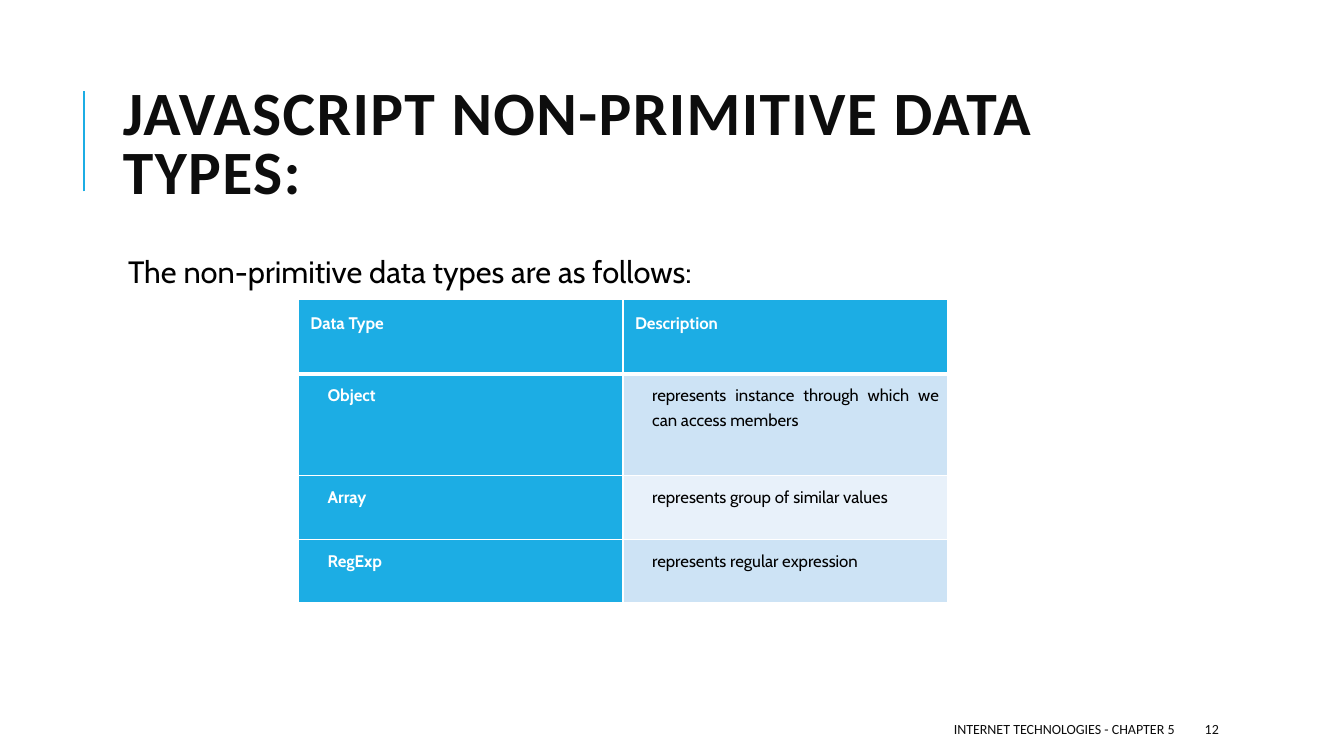
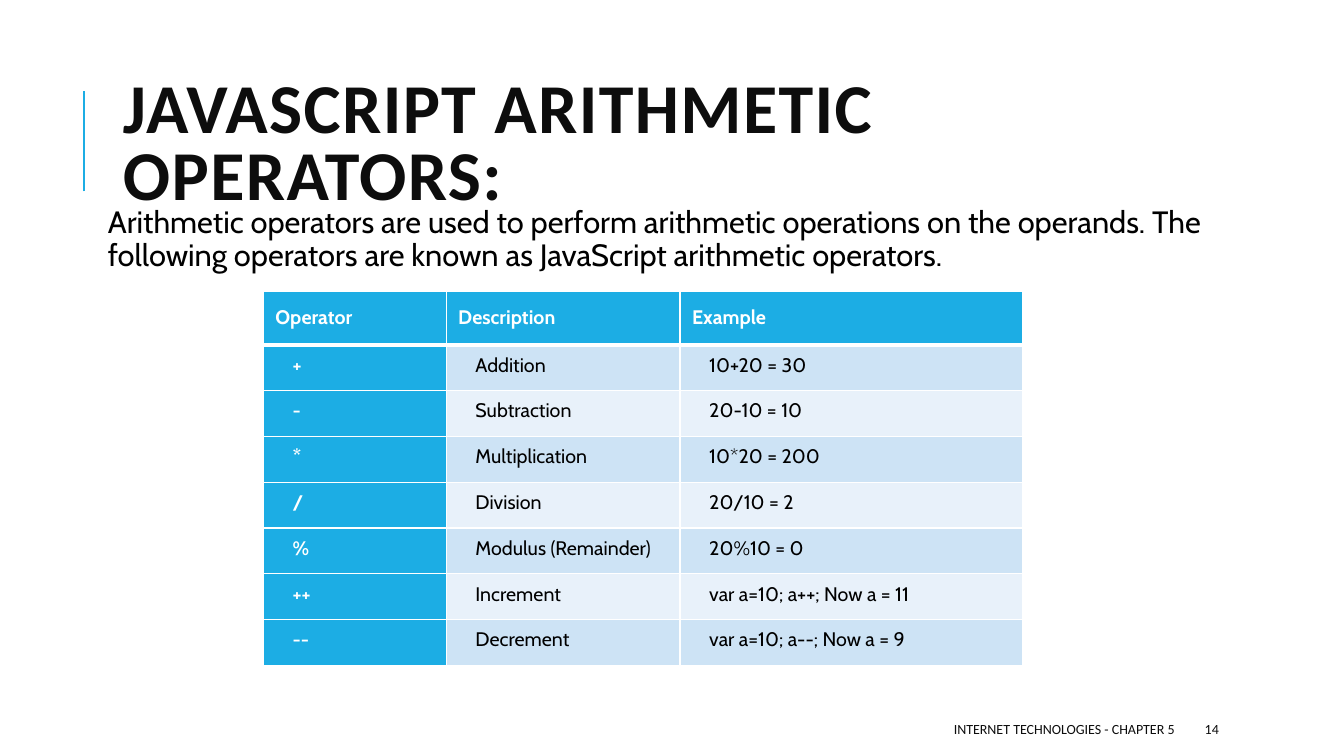
from lxml import etree
from pptx import Presentation
from pptx.dml.color import RGBColor
from pptx.enum.shapes import MSO_CONNECTOR
from pptx.enum.text import MSO_ANCHOR, MSO_AUTO_SIZE, PP_ALIGN
from pptx.oxml.ns import qn
from pptx.util import Inches, Pt

LEFT, RIGHT, JUSTIFY = PP_ALIGN.LEFT, PP_ALIGN.RIGHT, PP_ALIGN.JUSTIFY
MIDDLE, TOP = MSO_ANCHOR.MIDDLE, MSO_ANCHOR.TOP
FIXED = MSO_AUTO_SIZE.NONE
STRAIGHT = MSO_CONNECTOR.STRAIGHT

BLUE, INK, BLACK, WHITE = "1CADE4", "0D0D0D", "000000", "FFFFFF"
BANDS = ["CDE3F5", "E8F1FA"]
HEAD, BODY = "Calibri", "Cabin"
FOOTER = "INTERNET TECHNOLOGIES - CHAPTER 5"

deck = Presentation()
deck.slide_width, deck.slide_height = Inches(13.33), Inches(7.5)
COL, ROW = deck.slide_width / 100, deck.slide_height / 100


def grid(x, y, w, h):
    """Turn percentages of the slide's size into lengths."""
    return int(x * COL), int(y * ROW), int(w * COL), int(h * ROW)


def write(shape, text, size, color, font=HEAD, bold=False, align=LEFT,
          lines=1.0, indent=0, track=0, inset=None, anchor=TOP):
    """Fill a shape or a table cell with one formatted paragraph."""
    frame = shape.text_frame
    cell = not hasattr(shape, "shape_id")
    box = shape if cell else frame
    box.vertical_anchor = anchor
    if inset is not None:
        box.margin_left = box.margin_right = Inches(inset)
        box.margin_top = box.margin_bottom = Inches(inset)
    if not cell:
        frame.word_wrap, frame.auto_size = True, FIXED
    para = frame.paragraphs[0]
    props = para._p.get_or_add_pPr()
    props.set("marL", str(Inches(indent)))
    props.set("indent", "0")
    etree.SubElement(props, qn("a:buNone"))
    para.alignment, para.line_spacing = align, lines
    para.space_before = Pt(0)
    run = para.add_run()
    run.text = text
    run.font.name, run.font.size, run.font.bold = font, Pt(size), bold
    run.font.color.rgb = RGBColor.from_string(color)
    if track:
        run._r.get_or_add_rPr().set("spc", str(track * 100))


PAGES = [
    dict(
        number="12", title="JAVASCRIPT NON-PRIMITIVE DATA TYPES:", size=44,
        intro="The non-primitive data types are as follows:",
        area=(8.4, 33.33, 79.73, 58.67),
        corner=(22.2, 39.6), cols=[24.15] * 2,
        rows=[9.87, 13.47, 8.4, 8.4], type=12,
        cells=[
            ["Data Type", "Description"],
            ["Object", "represents instance through which we can access members"],
            ["Array", "represents group of similar values"],
            ["RegExp", "represents regular expression"],
        ]),
    dict(
        number="14", title="JAVASCRIPT ARITHMETIC OPERATORS:", size=50,
        intro="Arithmetic operators are used to perform arithmetic operations "
              "on the operands. The following operators are known as "
              "JavaScript arithmetic operators.",
        area=(6.9, 26.67, 86.25, 69.6),
        corner=(19.6, 38.55), cols=[13.6, 17.4, 25.5],
        rows=[7.07] + [6.06] * 7, type=14,
        cells=[
            ["Operator", "Description", "Example"],
            ["+", "Addition", "10+20 = 30"],
            ["-", "Subtraction", "20-10 = 10"],
            ["*", "Multiplication", "10*20 = 200"],
            ["/", "Division", "20/10 = 2"],
            ["%", "Modulus (Remainder)", "20%10 = 0"],
            ["++", "Increment", "var a=10; a++; Now a = 11"],
            ["--", "Decrement", "var a=10; a--; Now a = 9"],
        ]),
]

for page in PAGES:
    slide = deck.slides.add_slide(deck.slide_layouts[1])
    shapes = slide.shapes

    # Accent rule beside the title
    x, top, _, span = grid(6.25, 12, 0, 13.33)
    rule = shapes.add_connector(STRAIGHT, x, top + span, x, top)
    rule.line.color.rgb = RGBColor.from_string(BLUE)
    rule.line.width = Pt(1.5)
    etree.SubElement(rule._element.spPr, qn("a:effectLst"))

    # Title and introduction
    title, intro = slide.placeholders
    title.left, title.top, title.width, title.height = grid(8.4, 8.53, 79.73, 21.87)
    write(title, page["title"], page["size"], INK, bold=True, lines=0.8,
          track=1, anchor=MIDDLE)
    intro.left, intro.top, intro.width, intro.height = grid(*page["area"])
    write(intro, page["intro"], 22, BLACK, font=BODY, lines=0.9,
          indent=0.1, inset=0.05)

    # Footer and page number
    for text, x, wide, align in [(FOOTER, 39.75, 48.38, RIGHT),
                                 (page["number"], 88.9, 7.95, LEFT)]:
        note = shapes.add_textbox(*grid(x, 94.4, wide, 4))
        write(note, text, 10, INK, align=align, anchor=MIDDLE)

    # Table with a header row and a header column
    cols, rows = page["cols"], page["rows"]
    place = grid(*page["corner"], sum(cols), sum(rows))
    table = shapes.add_table(len(rows), len(cols), *place).table
    table.horz_banding = False
    for c, wide in enumerate(cols):
        table.columns[c].width = int(wide * COL)
    for r, tall in enumerate(rows):
        table.rows[r].height = int(tall * ROW)
        for c, text in enumerate(page["cells"][r]):
            cell = table.cell(r, c)
            props = cell._tc.get_or_add_tcPr()
            for side in "LRTB":
                thick = (r, side) in [(0, "B"), (1, "T")]
                edge = etree.SubElement(props, qn("a:ln" + side),
                                        w=str(Pt(3 if thick else 1)))
                fill = etree.SubElement(edge, qn("a:solidFill"))
                etree.SubElement(fill, qn("a:srgbClr"), val=WHITE)
            strong = r == 0 or c == 0
            cell.fill.solid()
            cell.fill.fore_color.rgb = RGBColor.from_string(
                BLUE if strong else BANDS[(r - 1) % 2])
            if r == 0:
                form = dict(lines=1.07, inset=0.12)
            else:
                form = dict(lines=Pt(17.2), inset=0.08, indent=0.21, align=JUSTIFY)
            write(cell, text, page["type"], WHITE if strong else BLACK,
                  font=BODY, bold=strong, **form)

deck.save("out.pptx")
